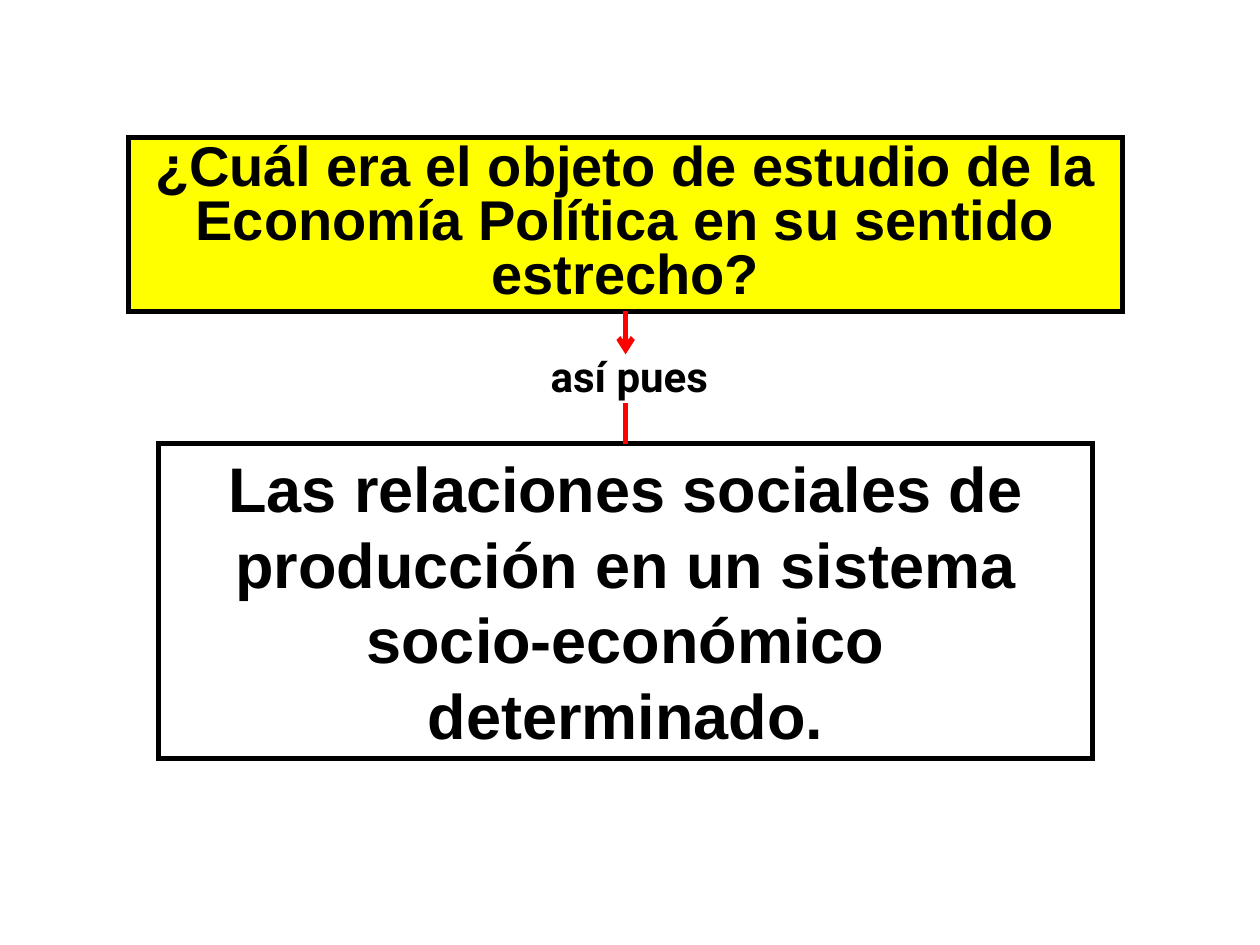
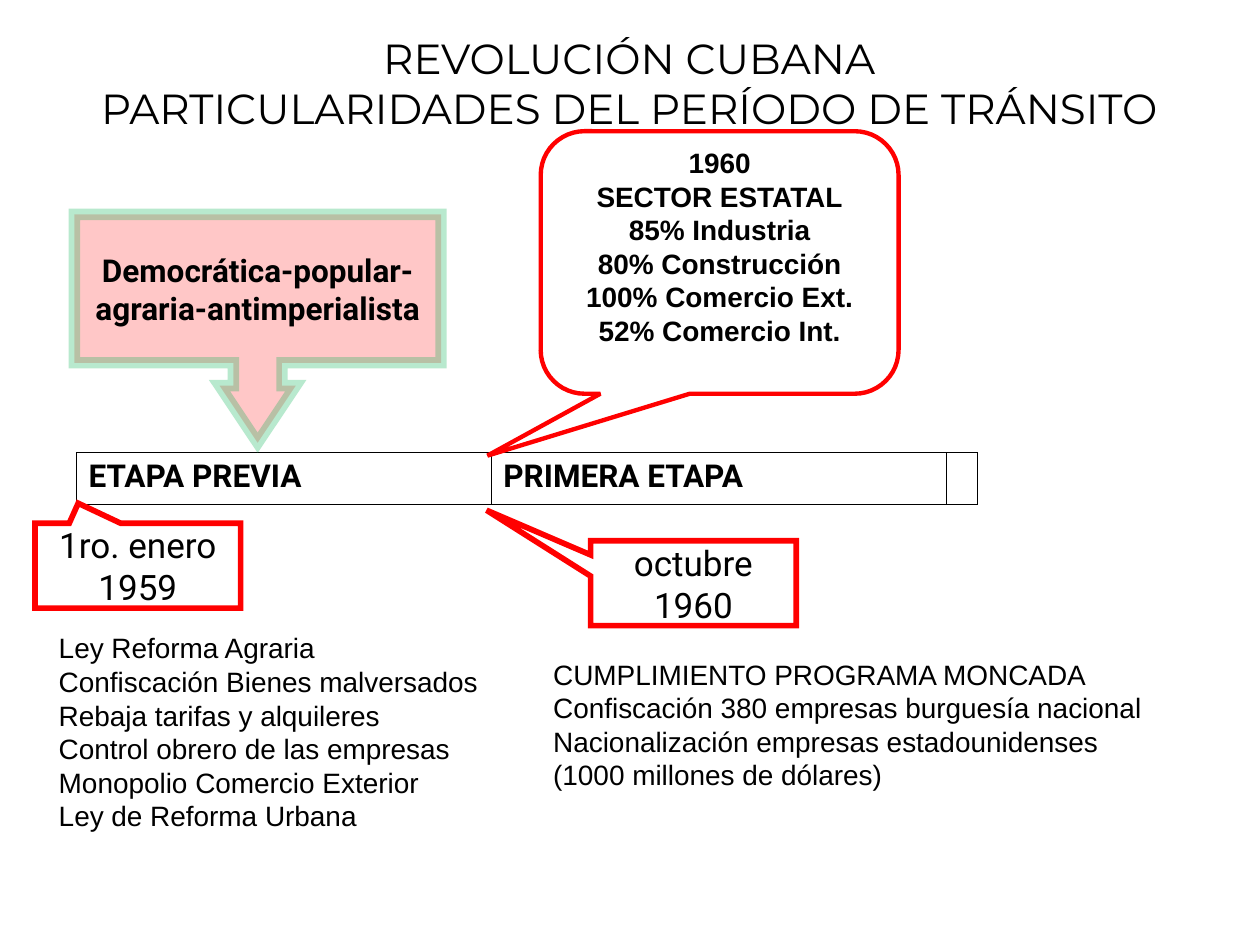
from lxml import etree
from pptx import Presentation
from pptx.dml.color import RGBColor
from pptx.enum.shapes import MSO_CONNECTOR, MSO_SHAPE
from pptx.enum.text import MSO_ANCHOR, MSO_AUTO_SIZE, PP_ALIGN
from pptx.oxml.ns import qn
from pptx.util import Pt

STRAIGHT = MSO_CONNECTOR.STRAIGHT
RECTANGLE = MSO_SHAPE.RECTANGLE
ARROW_CALLOUT = MSO_SHAPE.DOWN_ARROW_CALLOUT
WEDGE_CALLOUT = MSO_SHAPE.RECTANGULAR_CALLOUT
ROUND_CALLOUT = MSO_SHAPE.ROUNDED_RECTANGULAR_CALLOUT
LEFT, CENTER = PP_ALIGN.LEFT, PP_ALIGN.CENTER
TOP, MIDDLE = MSO_ANCHOR.TOP, MSO_ANCHOR.MIDDLE
FIXED, GROW = MSO_AUTO_SIZE.NONE, MSO_AUTO_SIZE.SHAPE_TO_FIT_TEXT

BLACK, WHITE, RED, YELLOW, GREEN = "000000", "FFFFFF", "FF0000", "FFFF00", "00B050"
BODY, LABEL, HEADING = "Arial", "Roboto", "Montserrat"
FLOW_CENTER = 357.5
TOP_SIDE, BOTTOM_SIDE = 0, 2


def color(hex_value):
    return RGBColor.from_string(hex_value)


def write_text(frame, lines, font, size, bold=False, align=LEFT, spacing=None):
    frame.word_wrap = True
    frame.text = "\n".join(lines)
    for paragraph in frame.paragraphs:
        paragraph.alignment = align
        paragraph.line_spacing = spacing
        paragraph.font.name = font
        paragraph.font.size = Pt(size)
        paragraph.font.bold = bold
        paragraph.font.color.rgb = color(BLACK)


def add_text(slide, left, top, width, height, lines, font, size, **style):
    box = slide.shapes.add_textbox(Pt(left), Pt(top), Pt(width), Pt(height))
    write_text(box.text_frame, lines, font, size, **style)
    box.text_frame.auto_size = GROW


def add_box(slide, kind, left, top, width, height, fill, line, line_width,
            adjustments=(), anchor=MIDDLE, auto_size=FIXED):
    shape = slide.shapes.add_shape(kind, Pt(left), Pt(top), Pt(width), Pt(height))
    shape.shadow.inherit = False
    for index, value in enumerate(adjustments):
        shape.adjustments[index] = value
    if fill:
        shape.fill.solid()
        shape.fill.fore_color.rgb = color(fill)
    else:
        shape.fill.background()
    shape.line.color.rgb = color(line)
    shape.line.width = Pt(line_width)
    outline = shape._element.spPr.find(qn("a:ln"))
    etree.SubElement(outline, qn("a:miter"), lim="800000")
    shape.text_frame.vertical_anchor = anchor
    shape.text_frame.auto_size = auto_size
    return shape


def set_opacity(shape, *percentages):
    for element, percentage in zip(shape._element.spPr.iter(qn("a:srgbClr")), percentages):
        etree.SubElement(element, qn("a:alpha"), val=str(percentage * 1000))


def add_flow_box(slide, top, width, height, fill, text, size, spacing=None):
    box = add_box(slide, RECTANGLE, FLOW_CENTER - width / 2, top, width, height,
                  fill, BLACK, 3, anchor=TOP, auto_size=GROW)
    write_text(box.text_frame, [text], BODY, size, bold=True, align=CENTER, spacing=spacing)
    return box


def add_flow_line(slide, top, bottom, arrow=False):
    connector = slide.shapes.add_connector(
        STRAIGHT, Pt(FLOW_CENTER), Pt(top), Pt(FLOW_CENTER), Pt(bottom))
    connector.line.color.rgb = color(RED)
    connector.line.width = Pt(3)
    properties = connector._element.spPr
    if arrow:
        etree.SubElement(properties.find(qn("a:ln")), qn("a:tailEnd"), type="arrow")
    etree.SubElement(properties, qn("a:effectLst"))
    return connector


def add_date_callout(slide, left, top, adjustments, lines):
    callout = add_box(slide, WEDGE_CALLOUT, left, top, 117.5, 48.5, WHITE, RED, 3.25, adjustments)
    write_text(callout.text_frame, lines, LABEL, 20, align=CENTER)


def set_borders(cell, hex_value, width):
    properties = cell._tc.get_or_add_tcPr()
    for position, side in enumerate(("lnL", "lnR", "lnT", "lnB")):
        border = etree.Element(qn(f"a:{side}"), w=str(Pt(width)))
        fill = etree.SubElement(border, qn("a:solidFill"))
        etree.SubElement(fill, qn("a:srgbClr"), val=hex_value)
        properties.insert(position, border)


def add_timeline(slide, left, top, height, stages):
    widths = [width for _, width in stages]
    table = slide.shapes.add_table(
        1, len(stages), Pt(left), Pt(top), Pt(sum(widths)), Pt(height)).table
    table.first_row = table.horz_banding = False
    table.rows[0].height = Pt(height)
    for column, (name, width) in enumerate(stages):
        table.columns[column].width = Pt(width)
        cell = table.cell(0, column)
        write_text(cell.text_frame, [name], LABEL, 18, bold=True)
        cell.fill.background()
        set_borders(cell, BLACK, 0.45)


def build_question_slide(slide):
    question = add_flow_box(
        slide, 78.5, 568, 99.5, YELLOW,
        "¿Cuál era el objeto de estudio de la Economía Política en su sentido estrecho?",
        32, spacing=0.8)
    add_text(slide, 307.5, 196.5, 111.5, 36, ["así pues"], LABEL, 24, bold=True)
    arrow = add_flow_line(slide, 178, 202.5, arrow=True)
    arrow.begin_connect(question, BOTTOM_SIDE)
    answer = add_flow_box(
        slide, 253.5, 534, 180, None,
        "Las relaciones sociales de producción en un sistema socio-económico determinado.", 36)
    line = add_flow_line(slide, 230.5, 253.5)
    line.end_connect(answer, TOP_SIDE)


def build_revolution_slide(slide):
    add_text(slide, 25, 15, 669, 65,
             ["REVOLUCIÓN CUBANA", "PARTICULARIDADES DEL PERÍODO DE TRÁNSITO"],
             HEADING, 24, align=CENTER)
    add_timeline(slide, 43.5, 258.5, 29.5,
                 [("ETAPA PREVIA", 237), ("PRIMERA ETAPA", 260.5), ("", 17.5)])

    character = add_box(slide, ARROW_CALLOUT, 42.5, 122.5, 209.5, 130.5, RED, GREEN, 6.5,
                        (0.213, 0.167, 0.25, 0.65))
    set_opacity(character, 22, 28)
    write_text(character.text_frame, ["Democrática-popular-", "agraria-antimperialista"],
               LABEL, 18, bold=True, align=CENTER)

    add_date_callout(slide, 20, 299, (-0.29, -0.736), ["1ro. enero 1959"])
    add_text(slide, 26.5, 357, 258, 122.5,
             ["Ley Reforma Agraria", "Confiscación Bienes malversados",
              "Rebaja tarifas y alquileres", "Control obrero de las empresas",
              "Monopolio Comercio Exterior", "Ley de Reforma Urbana"], BODY, 16)
    add_date_callout(slide, 337.5, 309, (-1.006, -0.86), ["octubre", "1960"])
    add_text(slide, 309, 372, 369.5, 103.5,
             ["CUMPLIMIENTO PROGRAMA MONCADA", "Confiscación 380 empresas burguesía nacional",
              "Nacionalización empresas estadounidenses", "(1000 millones de dólares)"],
             BODY, 16)

    state_sector = add_box(slide, ROUND_CALLOUT, 309, 75, 204.5, 150, None, RED, 2.5,
                           (-0.649, 0.736, 0.167))
    write_text(state_sector.text_frame,
               ["1960", "SECTOR ESTATAL", "85% Industria", "80% Construcción",
                "100% Comercio Ext.", "52% Comercio Int."],
               BODY, 16, bold=True, align=CENTER)
    state_sector.text_frame.margin_bottom = Pt(22)


def main():
    presentation = Presentation()
    presentation.slide_width, presentation.slide_height = Pt(720), Pt(540)
    blank = presentation.slide_layouts[6]
    for build in (build_question_slide, build_revolution_slide):
        build(presentation.slides.add_slide(blank))
    presentation.save("out.pptx")


if __name__ == "__main__":
    main()
